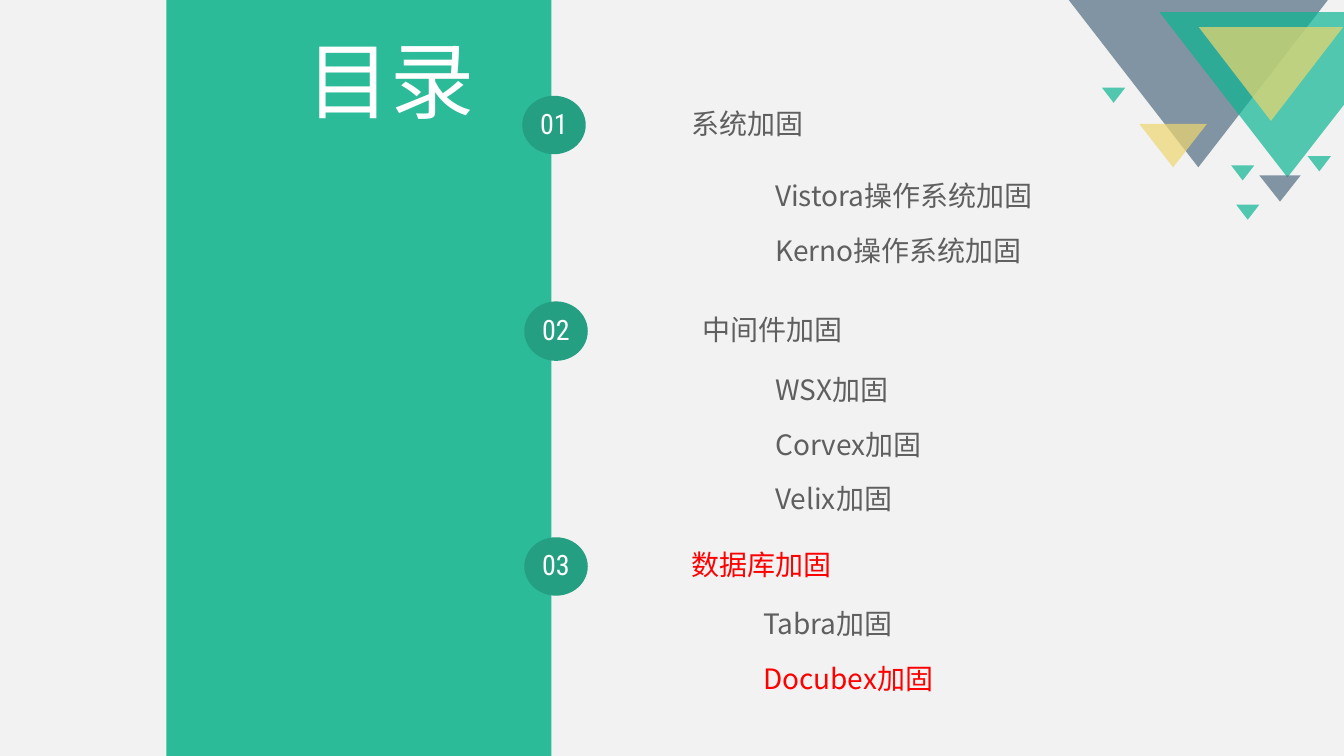
"""Builds the agenda slide on system hardening."""
from dataclasses import dataclass
import pptx
import pptx.dml.color
import pptx.enum.shapes
import pptx.enum.text
import pptx.oxml
import pptx.oxml.ns
import pptx.util
from lxml import etree

Inches = pptx.util.Inches
Pt = pptx.util.Pt
MSO_SHAPE = pptx.enum.shapes.MSO_SHAPE


@dataclass(frozen=True)
class Theme:
    back: str = "F2F2F2"
    panel: str = "2BBB99"
    badge: str = "259F82"
    slate: str = "516D82"
    teal: str = "0CB692"
    yellow: str = "EED66F"
    white: str = "FFFFFF"
    text: str = "5F5F5F"
    alert: str = "FF0000"
    body_font: str = "Noto Sans CJK SC"
    head_font: str = "Roboto Condensed"
    title_size: int = 60
    body_size: int = 20
    item_gap: float = 17.5
    line_spacing: float = 0.9
    alpha: int = 70


@dataclass(frozen=True)
class Box:
    x: float
    y: float
    w: float
    h: float

    def emu(self) -> tuple:
        return tuple(Inches(v) for v in (self.x, self.y, self.w, self.h))


@dataclass(frozen=True)
class Line:
    text: str
    color: str


@dataclass(frozen=True)
class Section:
    number: str
    badge: Box
    heading: Line
    heading_box: Box
    items: tuple
    items_box: Box


@dataclass(frozen=True)
class Triangle:
    box: Box
    color: str


T = Theme()
SMALL = (0.23, 0.15)
BACK_TRIANGLE = Triangle(Box(10.6, 0, 2.57, 1.66), T.slate)
CUT_TRIANGLE = ((11.5, 0.12), (13.33, 0.12), (13.33, 1.04), (12.77, 1.76))
FRONT_TRIANGLES = (
    Triangle(Box(11.89, 0.27, 1.43, 0.93), T.yellow),
    Triangle(Box(11.3, 1.23, 0.67, 0.43), T.yellow),
    Triangle(Box(12.97, 1.55, *SMALL), T.teal),
    Triangle(Box(12.26, 2.03, *SMALL), T.teal),
    Triangle(Box(12.21, 1.64, *SMALL), T.teal),
    Triangle(Box(12.49, 1.74, 0.41, 0.26), T.slate),
    Triangle(Box(10.93, 0.87, *SMALL), T.teal),
)
SECTIONS = (
    Section("01", Box(5.18, 0.95, 0.63, 0.58),
            Line("系统加固", T.text), Box(6.76, 0.95, 4.31, 0.59),
            (Line("Vistora操作系统加固", T.text), Line("Kerno操作系统加固", T.text)),
            Box(7.59, 1.73, 4.4, 1.01)),
    Section("02", Box(5.2, 2.99, 0.63, 0.59),
            Line("中间件加固", T.text), Box(6.87, 2.99, 4.31, 0.59),
            (Line("WSX加固", T.text), Line("Corvex加固", T.text), Line("Velix加固", T.text)),
            Box(7.59, 3.58, 4.63, 1.69)),
    Section("03", Box(5.2, 5.33, 0.63, 0.58),
            Line("数据库加固", T.alert), Box(6.76, 5.32, 4.31, 0.59),
            (Line("Tabra加固", T.text), Line("Docubex加固", T.alert)),
            Box(7.47, 5.92, 4.63, 1.11)),
)


def rgb(color: str) -> pptx.dml.color.RGBColor:
    return pptx.dml.color.RGBColor.from_string(color)


def paint(sp, color: str, alpha: int = 100) -> None:
    sp.shadow.inherit = False
    sp.line.fill.background()
    sp.fill.solid()
    sp.fill.fore_color.rgb = rgb(color)
    if alpha < 100:
        clr = sp.fill._xPr.find(".//" + pptx.oxml.ns.qn("a:srgbClr"))
        etree.SubElement(clr, pptx.oxml.ns.qn("a:alpha")).set("val", str(alpha * 1000))


def add_shape(s, kind, box: Box, color: str, alpha: int = 100):
    sp = s.shapes.add_shape(kind, *box.emu())
    paint(sp, color, alpha)
    return sp


def add_triangle(s, tri: Triangle) -> None:
    add_shape(s, MSO_SHAPE.ISOSCELES_TRIANGLE, tri.box, tri.color, T.alpha).rotation = 180


def add_cut_triangle(s) -> None:
    pts = [(Inches(x), Inches(y)) for x, y in CUT_TRIANGLE]
    fb = s.shapes.build_freeform(*pts[0])
    fb.add_line_segments(pts[1:], close=True)
    paint(fb.convert_to_shape(), T.teal, T.alpha)


def write(sp, lines: tuple, font: str, size: int, gap: float = 0) -> None:
    tf = sp.text_frame
    tf.word_wrap = True
    tf.vertical_anchor = pptx.enum.text.MSO_ANCHOR.MIDDLE
    tf.text = "\n".join(line.text for line in lines)
    for i, (p, line) in enumerate(zip(tf.paragraphs, lines)):
        p.line_spacing = T.line_spacing
        p.space_before = Pt(gap if i else 0)
        r = p.runs[0]
        r.font.size = Pt(size)
        r.font.name = font
        r.font.color.rgb = rgb(line.color)
        ea = etree.SubElement(r.font._rPr, pptx.oxml.ns.qn("a:ea"))
        ea.set("typeface", T.body_font)


def add_text(s, box: Box, lines: tuple, font: str = T.body_font,
             size: int = T.body_size, gap: float = 0) -> None:
    write(s.shapes.add_textbox(*box.emu()), lines, font, size, gap)


def add_badge(s, box: Box, number: str) -> None:
    sp = add_shape(s, MSO_SHAPE.OVAL, box, T.badge)
    write(sp, (Line(number, T.white),), T.head_font, T.body_size)
    tf = sp.text_frame
    tf.margin_left = tf.margin_right = tf.margin_top = tf.margin_bottom = 0
    tf.paragraphs[0].alignment = pptx.enum.text.PP_ALIGN.CENTER


def add_section(s, sec: Section) -> None:
    add_badge(s, sec.badge, sec.number)
    add_text(s, sec.heading_box, (sec.heading,))
    add_text(s, sec.items_box, sec.items, gap=T.item_gap)


def main() -> None:
    prs = pptx.Presentation()
    prs.slide_width, prs.slide_height = Inches(13.33), Inches(7.5)
    s = prs.slides.add_slide(prs.slide_layouts[6])
    s.background.fill.solid()
    s.background.fill.fore_color.rgb = rgb(T.back)
    add_triangle(s, BACK_TRIANGLE)
    add_cut_triangle(s)
    for tri in FRONT_TRIANGLES:
        add_triangle(s, tri)
    add_shape(s, MSO_SHAPE.RECTANGLE, Box(1.65, 0, 3.82, 7.5), T.panel)
    add_text(s, Box(2.94, 0.27, 1.9, 1.16), (Line("目录", T.white),), T.head_font, T.title_size)
    for sec in SECTIONS:
        add_section(s, sec)
    prs.save("out.pptx")


main()
